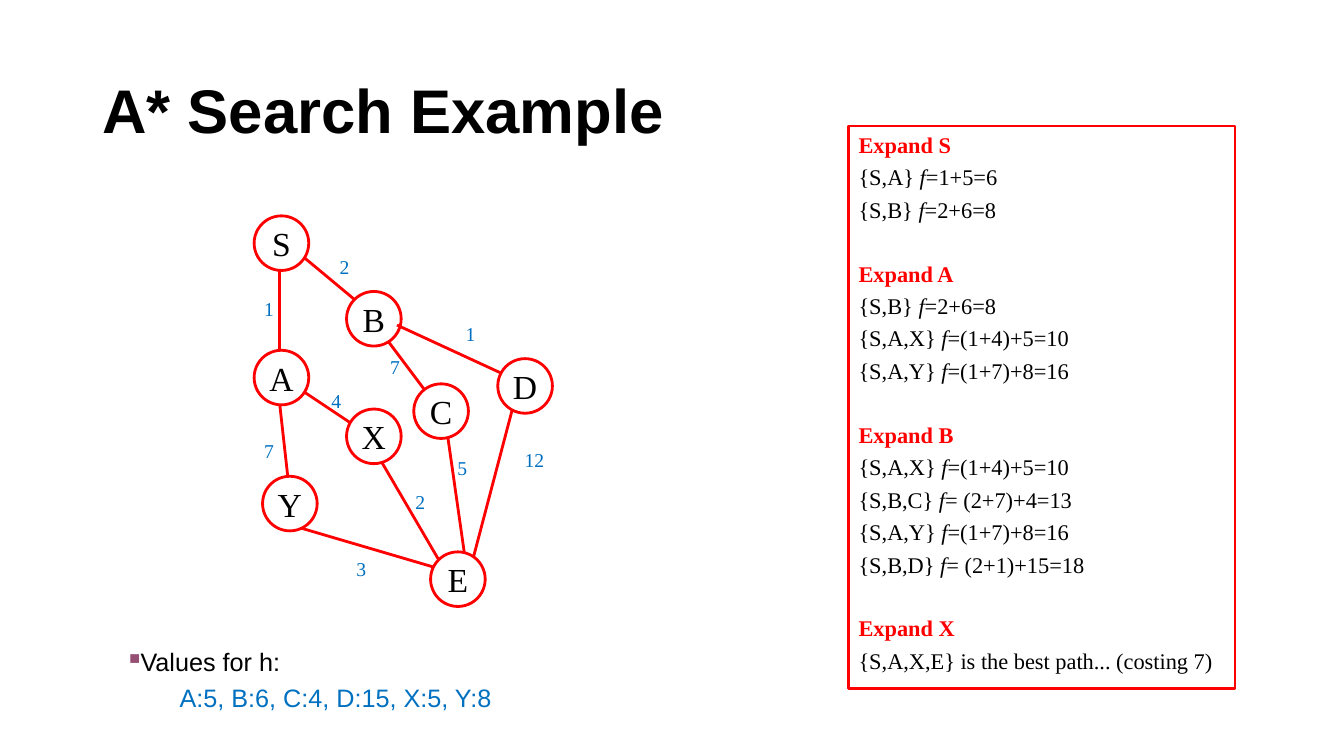
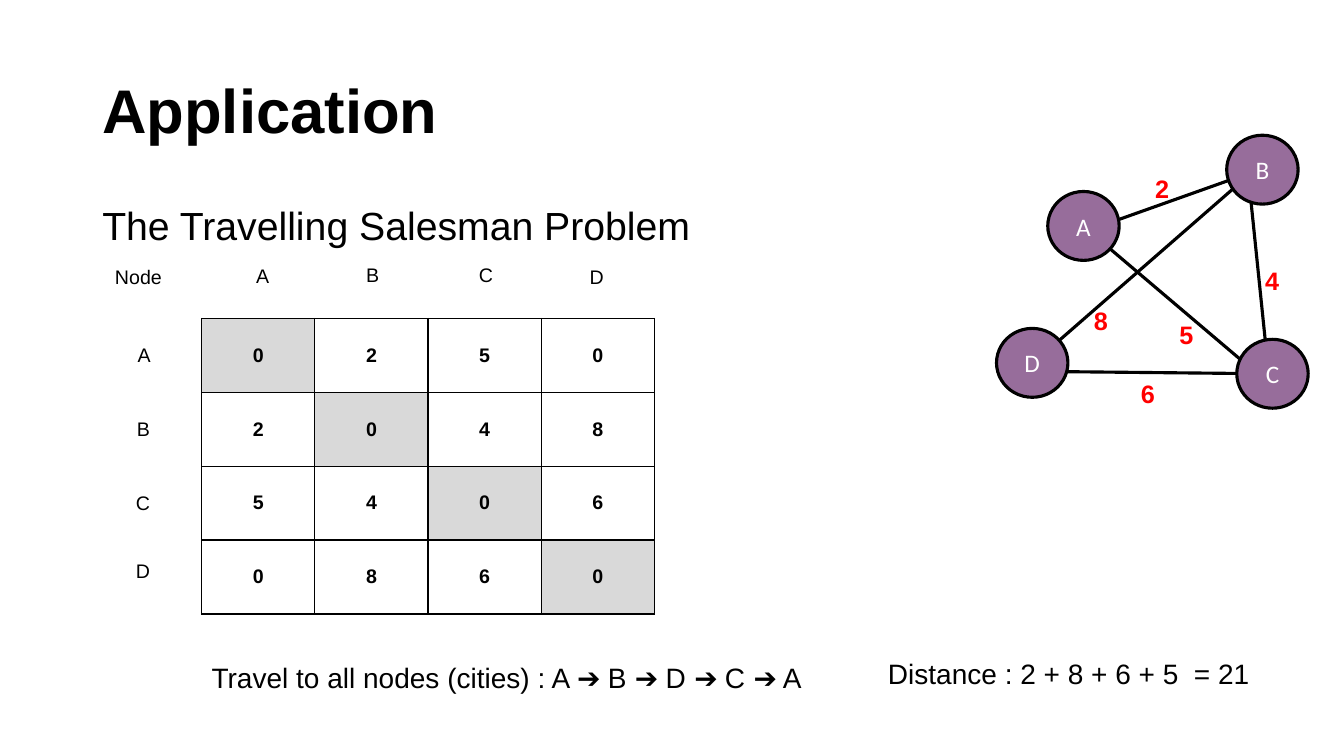
from lxml import etree
from pptx import Presentation, util as u
from pptx.dml.color import RGBColor
from pptx.enum import shapes as kinds, text
from pptx.oxml import parse_xml
from pptx.oxml.ns import qn

NS = 'xmlns:a="http://schemas.openxmlformats.org/drawingml/2006/main"'
BLACK, WHITE, RED, BLUE = "000000", "FFFFFF", "FF0000", "0070C0"
PLUM, MAUVE, GREY = "954F72", "976D9B", "D9D9D9"
SANS, SERIF = "Arial", "Times New Roman"
OVAL, RECT = kinds.MSO_SHAPE.OVAL, kinds.MSO_SHAPE.RECTANGLE
TOP, MID = text.MSO_ANCHOR.TOP, text.MSO_ANCHOR.MIDDLE
LEFT, MIDST = text.PP_ALIGN.LEFT, text.PP_ALIGN.CENTER
hue = RGBColor.from_string

deck = Presentation()
deck.slide_width, deck.slide_height = u.Inches(13.33), u.Inches(7.5)
CELL = deck.slide_height / 90  # the slide is a grid of 160 columns by 90 rows


def put(page, box, paras, look, kind=None, fill=None, edge=None,
        anchor=TOP, align=LEFT, wrap=False, lead=None):
    """Add a text box, or a shape if kind is given; paras are lists of (text, format)."""
    area = [round(n * CELL) for n in box]
    if kind:
        item = page.shapes.add_shape(kind, *area)
        item.shadow.inherit = False
        item.line.color.rgb, item.line.width = hue(edge[0]), u.Pt(edge[1])
        if fill:
            item.fill.solid()
            item.fill.fore_color.rgb = hue(fill)
        else:
            item.fill.background()
    else:
        item = page.shapes.add_textbox(*area)
    frame = item.text_frame
    frame.word_wrap, frame.vertical_anchor = wrap, anchor
    for i, runs in enumerate(paras):
        para = frame.add_paragraph() if i else frame.paragraphs[0]
        para.alignment = align
        if lead:
            para.line_spacing = lead
        for words, own in runs:
            run = para.add_run()
            run.text = words
            form = {**look, **own}
            run.font.color.rgb = hue(form.pop("ink"))
            for key, val in form.items():
                setattr(run.font, key, val)
    return frame


def link(page, ends, ink, width):
    line = page.shapes.add_connector(
        kinds.MSO_CONNECTOR.STRAIGHT, *[round(n * CELL) for n in ends])
    line.line.color.rgb, line.line.width = hue(ink), u.Pt(width)
    etree.SubElement(line._element.spPr, qn("a:effectLst"))


def_look = {"name": SANS, "ink": BLACK}
pages = []
for title in ("A* Search Example", "Application"):
    page = deck.slides.add_slide(deck.slide_layouts[6])
    put(page, (11, 4.8, 138, 17.4), [[(title, {})]],
        {**def_look, "size": u.Pt(44), "bold": True}, anchor=MID, wrap=True, lead=0.9)
    pages.append(page)
search, tour = pages

# Search steps
steps = {
    "Expand S": ["{S,A} f=1+5=6", "{S,B} f=2+6=8"],
    "Expand A": ["{S,B} f=2+6=8", "{S,A,X} f=(1+4)+5=10", "{S,A,Y} f=(1+7)+8=16"],
    "Expand B": ["{S,A,X} f=(1+4)+5=10", "{S,B,C} f= (2+7)+4=13",
                 "{S,A,Y} f=(1+7)+8=16", "{S,B,D} f= (2+1)+15=18"],
    "Expand X": ["{S,A,X,E} is the best path... (costing 7)"],
}
paras = []
for head, rows in steps.items():
    paras.append([(head, {"ink": RED, "bold": True})])
    for row in rows:
        path, mark, cost = row.partition("f=")
        paras.append([(path, {})])
        if mark:
            paras[-1] += [("f", {"italic": True}), ("=" + cost, {})]
frame = put(search, (101, 15, 46, 67), paras,
            {"name": SERIF, "ink": BLACK, "size": u.Pt(16)}, RECT, edge=(RED, 2), wrap=True)
for para in frame.paragraphs[1:]:
    para.space_before = u.Pt(26.4 if para.text in steps else 4)

# Heuristic values
frame = put(search, (14.2, 76.3, 46, 9.4),
            [[("Values for h:", {})], [("A:5, B:6, C:4, D:15, X:5, Y:8", {"ink": BLUE})]],
            {**def_look, "size": u.Pt(18)}, wrap=True)
first, second = frame.paragraphs
second.space_before = u.Pt(4.5)
for para, left in ((first, 0), (second, 0.5)):
    props = para._p.get_or_add_pPr()
    props.set("marL", str(u.Inches(left)))
    props.set("indent", "0")
props = first._p.get_or_add_pPr()
for tag in (f'<a:buClr {NS}><a:srgbClr val="{PLUM}"/></a:buClr>',
            f'<a:buSzPct {NS} val="60000"/>', f'<a:buChar {NS} char="■"/>'):
    props.append(parse_xml(tag))

# Search graph, in cells from the corner of node S
X, Y = 30.25, 25.7
nodes = {"B": (11, 9), "D": (29, 17), "E": (21, 40), "X": (11, 23),
         "A": (0, 16), "Y": (1, 31), "S": (0, 0), "C": (19, 20)}
edges = [(3, 16, 3, 6), (12, 10, 6, 5), (30, 19, 17, 13), (22, 23, 16, 15),
         (12, 25, 6, 21), (4, 31, 3, 22), (22, 41, 15, 29), (22, 42, 5, 37),
         (25, 40, 23, 26), (26, 41, 31, 22)]
costs = [("1", 0, 9), ("2", 9, 4), ("1", 24, 12), ("7", 15, 16), ("4", 8, 20),
         ("7", 0, 26), ("2", 18, 32), ("3", 11, 40), ("5", 23, 28), ("12", 31, 27)]
for name, (x, y) in nodes.items():
    put(search, (X + x, Y + y, 6.5, 6.5), [[(name, {})]],
        {"name": SERIF, "ink": BLACK, "size": u.Pt(24)}, OVAL, WHITE, (RED, 2), MID, MIDST)
    if name == "B":  # edges lie over B and under the other nodes
        for x1, y1, x2, y2 in edges:
            link(search, (X + x1, Y + y1, X + x2, Y + y2), RED, 2)
for cost, x, y in costs:
    put(search, (X + x, Y + y, 2.4 + 1.2 * len(cost), 4), [[(cost, {})]],
        {"name": SERIF, "ink": BLUE, "size": u.Pt(14)})

# City graph
put(tour, (11, 24, 138, 57), [[("The Travelling Salesman Problem", {})]],
    {**def_look, "size": u.Pt(28)}, wrap=True, lead=0.9)
for ends in ((123, 43.2, 149.6, 20), (129.6, 27.4, 149, 20.5), (150.7, 45.4, 129.5, 27.4),
             (148.4, 19.2, 151, 44.5), (121.9, 44.2, 151.4, 44.5)):
    link(tour, ends, BLACK, 2.25)
for name, x, y in (("A", 124.7, 22.8), ("B", 146, 16.1), ("C", 147.2, 40.4), ("D", 118.6, 39.1)):
    put(tour, (x, y, 8.5, 8.2), [[(name, {})]],
        {"name": "Calibri", "ink": WHITE, "size": u.Pt(18)},
        OVAL, MAUVE, (BLACK, 2.25), MID, MIDST)
for cost, x, y in (("2", 136.3, 20), ("5", 139.2, 37.4), ("6", 134.6, 44.4),
                   ("4", 149.4, 31), ("8", 129, 35.8)):
    put(tour, (x, y, 4.1, 4.8), [[(cost, {})]],
        {"name": SANS, "ink": RED, "size": u.Pt(18), "bold": True})

# Distance table
dists = [[0, 2, 5, 0], [2, 0, 4, 8], [5, 4, 0, 6], [0, 8, 6, 0]]
size = len(dists)
table = tour.shapes.add_table(
    size, size, *[round(n * CELL) for n in (24, 37.9, 53.9, 35.2)]).table
table.first_row = table.horz_banding = False
for r, row in enumerate(dists):
    for c, dist in enumerate(row):
        cell = table.cell(r, c)
        cell.vertical_anchor = MID
        for side in ("left", "right", "top", "bottom"):
            setattr(cell, "margin_" + side, u.Inches(0.01))
        if r == c:
            cell.fill.solid()
            cell.fill.fore_color.rgb = hue(GREY)
        else:
            cell.fill.background()
        for i, side in enumerate("LRTB"):
            cell._tc.get_or_add_tcPr().insert(i, parse_xml(
                f'<a:ln{side} {NS} w="12700"><a:solidFill><a:srgbClr val="{BLACK}"/>'
                f'</a:solidFill></a:ln{side}>'))
        para = cell.text_frame.paragraphs[0]
        para.alignment = MIDST
        run = para.add_run()
        run.text = str(dist)
        run.font.color.rgb = hue(BLACK)
        for key, val in {"name": SANS, "size": u.Pt(14), "bold": True}.items():
            setattr(run.font, key, val)

# Table headings and result
for words, x, y, wide, size in (
        ("Node", 12.5, 31, 8.6, 14),
        ("A", 15.2, 40.2, 4, 14), ("B", 15.1, 49, 4, 14),
        ("C", 15, 57.8, 4, 14), ("D", 15, 66, 4, 14),
        ("A", 29.3, 30.8, 4, 14), ("B", 42.4, 30.7, 4, 14),
        ("C", 55.8, 30.7, 4, 14), ("D", 69, 31, 4, 14),
        ("Travel to all nodes (cities) : A ➔ B ➔ D ➔ C ➔ A", 24, 78, 77.6, 20),
        ("Distance : 2 + 8 + 6 + 5  = 21", 104.5, 77.6, 45.7, 20)):
    put(tour, (x, y, wide, size * 0.24 + 0.6), [[(words, {})]],
        {**def_look, "size": u.Pt(size)}, wrap=wide > 8)

deck.save("out.pptx")
